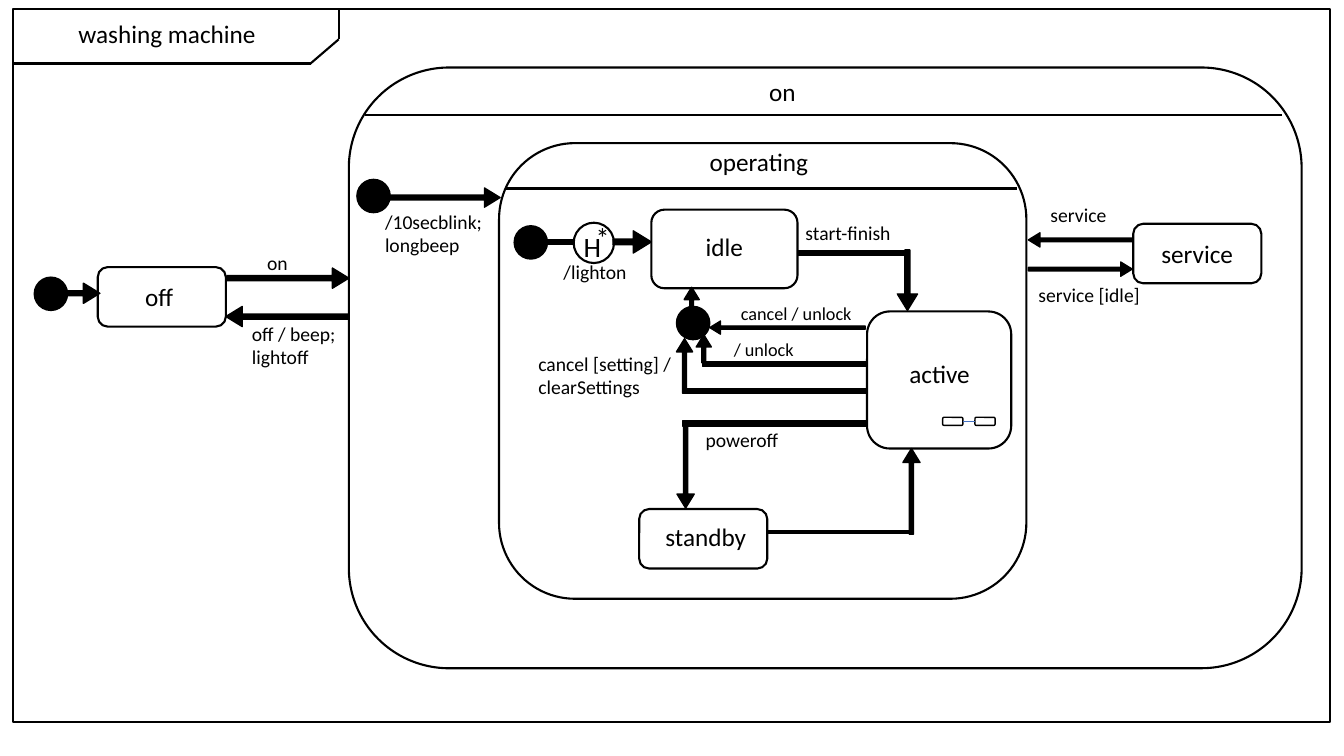
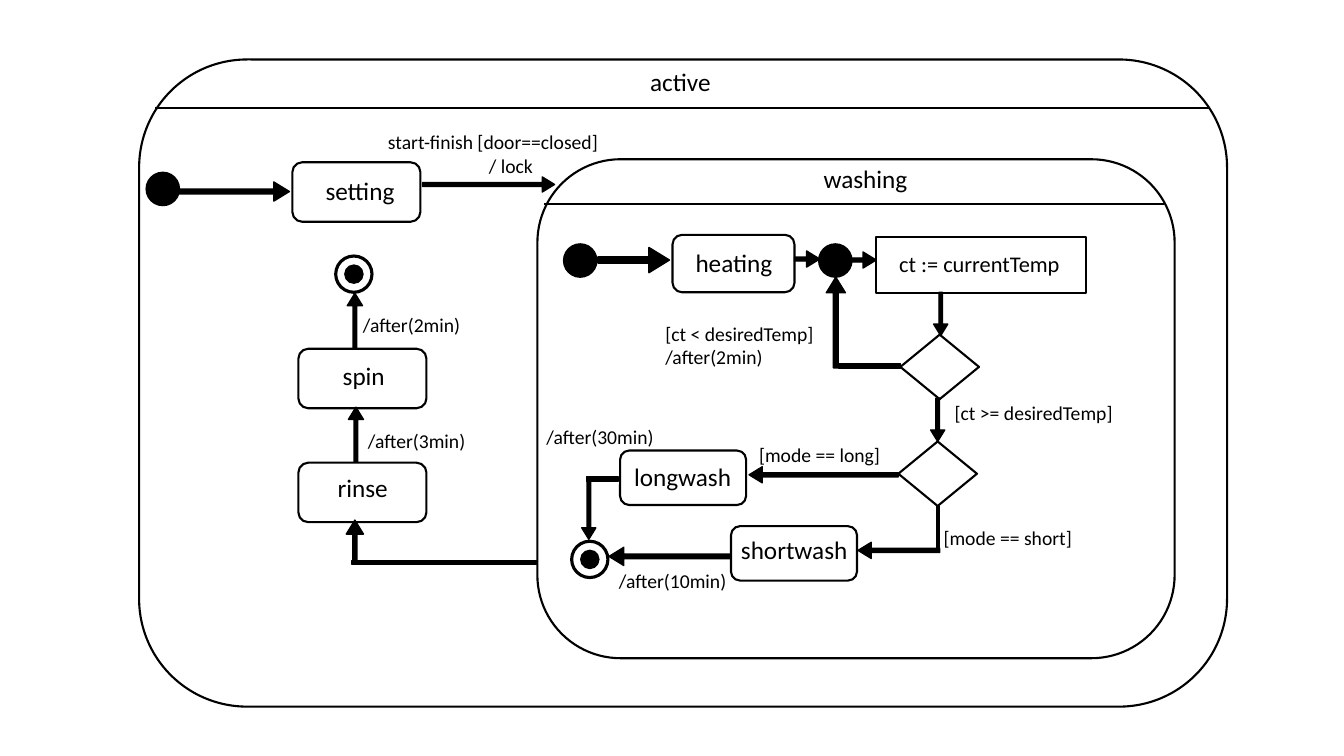
"""Build two state machine diagrams of a washing machine."""
import math
import pptx
import pptx.util
import pptx.dml.color
import pptx.enum.shapes
import pptx.enum.text
import pptx.oxml
from dataclasses import dataclass


@dataclass(frozen=True)
class Theme:
    ink: str = "000000"
    paper: str = "FFFFFF"
    accent: str = "4472C4"
    font: str = "Calibri"
    symbol: int = 20
    title: int = 18
    action: int = 16
    label: int = 14
    small: int = 13
    outline: float = 1.5
    ring: float = 2.25
    thin: float = 1
    hair: float = 0.5
    inset: float = 0.1
    dot: float = 0.33
    target: float = 0.36
    core: float = 0.18
    shaft: float = 0.249
    head: float = 0.813


THEME = Theme()
KIND = pptx.enum.shapes.MSO_SHAPE

# Boxes are left, top, width, height; links run from tail to tip, then thickness.
MACHINE = {
    "composites": [
        ("on", (3.46, 0.67, 9.45, 5.96), (7.53, 0.71, 1.15), (3.62, 1.14, 12.72, 1.14)),
        ("operating", (4.95, 1.42, 5.23, 4.52), (6.94, 1.4, 1.31), (5.02, 1.87, 10.09, 1.87)),
    ],
    "bars": [
        (5.43, 2.4, 5.69, 2.4, 0.05),
        (7.91, 2.51, 9.02, 2.51, 0.05),
        (6.8, 3.88, 8.61, 3.88, 0.05),
        (6.77, 4.2, 8.61, 4.2, 0.05),
        (7.61, 5.28, 9.02, 5.28, 0.03),
        (6.97, 3.61, 8.61, 3.61, 0.05),
    ],
    "arrows": [
        (10.2, 2.67, 11.23, 2.67, 0.14),
        (11.23, 2.38, 10.2, 2.38, 0.14),
        (3.81, 1.96, 4.96, 1.96, 0.19),
        (6.08, 2.4, 6.46, 2.4, 0.22),
        (0.67, 2.91, 0.99, 2.91, 0.2),
        (2.25, 2.76, 3.46, 2.76, 0.2),
        (3.45, 3.14, 2.24, 3.14, 0.2),
        (9, 2.48, 9, 3.08, 0.2),
        (8.58, 3.25, 7.04, 3.25, 0.13),
        (6.8, 4.19, 6.8, 5.04, 0.17),
        (6.86, 3.13, 6.86, 2.85, 0.15),
        (6.98, 3.6, 6.98, 3.32, 0.15),
        (6.79, 3.9, 6.79, 3.36, 0.16),
        (9.04, 5.3, 9.04, 4.45, 0.17),
    ],
    "states": [
        ("service", (11.24, 2.22, 1.27, 0.59), (11.42, 2.32, 1.15)),
        ("idle", (6.46, 2.08, 1.45, 0.78), (6.9, 2.25, 1.31)),
        ("off", (0.97, 2.65, 1.27, 0.59), (1.34, 2.74, 0.75)),
        ("standby", (6.34, 5.05, 1.27, 0.59), (6.5, 5.12, 1.15)),
        ("active", (8.6, 3.09, 1.43, 1.36), (8.92, 3.51, 1.15), THEME.paper),
    ],
    "dots": [(3.54, 1.78), (0.34, 2.75), (5.1, 2.24), (6.71, 3.04)],
    "targets": [],
    "outlines": [
        (KIND.OVAL, (5.69, 2.21, 0.4, 0.4)),
        (KIND.RECTANGLE, (0.13, 0.09, 13.06, 7.07)),
    ],
    "lines": [
        (3.08, 0.63, 3.36, 0.39),
        (0.13, 0.63, 3.08, 0.63),
        (3.36, 0.39, 3.36, 0.09),
    ],
    "notes": [
        (["washing machine"], 0.68, 0.13, 2.33, THEME.title),
        (["H"], 5.69, 2.23, 0.53, THEME.symbol),
        (["*"], 5.81, 2.14, 0.53, THEME.symbol),
        (["cancel / unlock"], 7.25, 2.95, 1.76, THEME.small),
        (["/ unlock"], 7.18, 3.31, 1.76, THEME.small),
        (["on"], 2.55, 2.44, 1.31),
        (["off / beep;", "lightoff"], 2.4, 3.14, 1.31),
        (["cancel [setting] / clearSettings"], 5.24, 3.44, 1.59, THEME.label, 2),
        (["start-finish"], 7.89, 2.14, 1.31),
        (["/lighton"], 5.49, 2.53, 1.31),
        (["poweroff"], 6.9, 4.2, 1.31),
        (["service [idle]"], 10.2, 2.76, 1.31),
        (["service "], 10.32, 1.96, 1.31),
        (["/10secblink;", "longbeep"], 3.72, 2.03, 1.65),
    ],
}
ACTIVE = {
    "composites": [
        ("active", (1.38, 0.59, 10.79, 6.42), (6.35, 0.61, 1.15), (1.54, 1.07, 12, 1.07)),
        ("washing", (5.33, 1.58, 6.32, 4.95), (8.07, 1.57, 1.31), (5.4, 2.02, 11.54, 2.02)),
    ],
    "bars": [
        (3.49, 5.58, 5.32, 5.58, 0.04),
        (8.32, 3.63, 8.93, 3.63, 0.05),
        (9.3, 5.02, 9.3, 5.44, 0.03),
        (6.13, 4.75, 5.82, 4.75, 0.05),
    ],
    "arrows": [
        (1.72, 1.9, 2.87, 1.9, 0.19),
        (4.19, 1.83, 5.5, 1.83, 0.15),
        (3.52, 3.45, 3.52, 2.91, 0.15),
        (3.53, 4.58, 3.53, 4.04, 0.15),
        (3.52, 5.56, 3.52, 5.16, 0.17),
        (5.93, 2.58, 6.64, 2.58, 0.25),
        (7.88, 2.57, 8.13, 2.57, 0.16),
        (9.33, 2.9, 9.33, 3.33, 0.14),
        (9.3, 3.95, 9.3, 4.38, 0.14),
        (8.91, 4.71, 7.43, 4.71, 0.16),
        (9.32, 5.46, 8.51, 5.46, 0.16),
        (5.84, 4.74, 5.84, 5.35, 0.14),
        (7.24, 5.52, 6.04, 5.52, 0.18),
        (8.45, 2.58, 8.69, 2.58, 0.16),
        (8.29, 3.65, 8.29, 2.75, 0.19),
    ],
    "states": [
        ("setting", (2.9, 1.61, 1.27, 0.59), (3.13, 1.69, 1.15)),
        ("heating", (6.67, 2.33, 1.21, 0.57), (6.8, 2.4, 1.31)),
        ("spin", (2.96, 3.46, 1.27, 0.59), (3.3, 3.53, 1.15)),
        ("rinse", (2.96, 4.59, 1.27, 0.59), (3.25, 4.64, 1.15)),
        ("shortwash", (7.25, 5.22, 1.25, 0.54), (7.25, 5.25, 1.31)),
        ("longwash", (6.15, 4.47, 1.25, 0.54), (6.19, 4.53, 1.31)),
    ],
    "dots": [(1.45, 1.71), (5.59, 2.42), (8.12, 2.42)],
    "targets": [(3.33, 2.54), (5.67, 5.37)],
    "outlines": [
        (KIND.RECTANGLE, (8.69, 2.35, 2.08, 0.56)),
        (KIND.DIAMOND, (8.93, 3.32, 0.78, 0.64)),
        (KIND.DIAMOND, (8.91, 4.38, 0.78, 0.64)),
    ],
    "lines": [],
    "notes": [
        (["ct := currentTemp"], 8.82, 2.43, 1.87, THEME.action),
        (["start-finish [door==closed] ", "\t/ lock"], 3.75, 1.24, 2.34),
        (["/after(3min) "], 3.55, 4.21, 1.31),
        (["/after(2min) "], 3.5, 3.05, 1.31),
        (["[ct < desiredTemp]", "/after(2min)"], 6.5, 3.14, 1.73),
        (["[ct >= desiredTemp]"], 9.37, 3.93, 1.85),
        (["[mode == short]"], 9.26, 5.17, 1.73),
        (["[mode == long]"], 7.43, 4.34, 1.73),
        (["/after(10min) "], 6.04, 5.59, 1.31),
        (["/after(30min) "], 5.32, 4.17, 1.31),
    ],
}
SUBMACHINE = {
    "boxes": [(9.35, 4.14, 0.2, 0.08), (9.67, 4.14, 0.2, 0.08)],
    "line": (9.55, 4.18, 9.67, 4.18),
}


def inches(values):
    return [pptx.util.Inches(value) for value in values]


def color(code):
    return pptx.dml.color.RGBColor.from_string(code)


def draw_shape(shapes, kind, box, fill=None, weight=THEME.outline):
    shape = shapes.add_shape(kind, *inches(box))
    shape.shadow.inherit = False
    if fill:
        shape.fill.solid()
        shape.fill.fore_color.rgb = color(fill)
    else:
        shape.fill.background()
    shape.line.color.rgb = color(THEME.ink)
    shape.line.width = pptx.util.Pt(weight)
    return shape


def draw_line(shapes, ends, ink=THEME.ink, weight=THEME.outline):
    line = shapes.add_connector(pptx.enum.shapes.MSO_CONNECTOR.STRAIGHT, *inches(ends))
    line.line.color.rgb = color(ink)
    line.line.width = pptx.util.Pt(weight)
    properties = line._element.spPr
    properties.append(properties.makeelement(pptx.oxml.ns.qn("a:effectLst"), {}))


def draw_link(shapes, kind, tail_x, tail_y, tip_x, tip_y, thickness):
    across, down = tip_x - tail_x, tip_y - tail_y
    length = math.hypot(across, down)
    left = (tail_x + tip_x - length) / 2
    top = (tail_y + tip_y - thickness) / 2
    link = draw_shape(shapes, kind, (left, top, length, thickness), THEME.ink, THEME.thin)
    link.rotation = math.degrees(math.atan2(down, across))
    return link


def draw_arrow(shapes, *course):
    arrow = draw_link(shapes, KIND.RIGHT_ARROW, *course)
    arrow.adjustments[0] = THEME.shaft
    arrow.adjustments[1] = THEME.head


def draw_note(shapes, lines, left, top, width, size=THEME.label, rows=None):
    height = (rows or len(lines)) * size * 1.2 / 72 + THEME.inset
    box = shapes.add_textbox(*inches((left, top, width, height)))
    frame = box.text_frame
    frame.word_wrap = True
    frame.auto_size = pptx.enum.text.MSO_AUTO_SIZE.SHAPE_TO_FIT_TEXT
    for index, text in enumerate(lines):
        para = frame.add_paragraph() if index else frame.paragraphs[0]
        if text.startswith("\t"):
            para._p.get_or_add_pPr().set("marL", str(pptx.util.Inches(1)))
        span = para.add_run()
        span.text = text.strip("\t")
        span.font.name = THEME.font
        span.font.size = pptx.util.Pt(size)
        span.font.color.rgb = color(THEME.ink)


def draw_state(shapes, name, box, place, fill=None):
    draw_shape(shapes, KIND.ROUNDED_RECTANGLE, box, fill)
    draw_note(shapes, [name], *place, THEME.title)


def draw_diagram(shapes, diagram):
    for name, box, place, divider in diagram["composites"]:
        draw_state(shapes, name, box, place)
        draw_line(shapes, divider)
    for course in diagram["bars"]:
        draw_link(shapes, KIND.RECTANGLE, *course)
    for state in diagram["states"]:
        draw_state(shapes, *state)
    for course in diagram["arrows"]:
        draw_arrow(shapes, *course)
    for corner in diagram["dots"]:
        draw_shape(shapes, KIND.OVAL, (*corner, THEME.dot, THEME.dot), THEME.ink, THEME.thin)
    margin = (THEME.target - THEME.core) / 2
    for left, top in diagram["targets"]:
        ring = (left, top, THEME.target, THEME.target)
        core = (left + margin, top + margin, THEME.core, THEME.core)
        draw_shape(shapes, KIND.OVAL, ring, weight=THEME.ring)
        draw_shape(shapes, KIND.OVAL, core, THEME.ink, THEME.thin)
    for kind, box in diagram["outlines"]:
        draw_shape(shapes, kind, box)
    for ends in diagram["lines"]:
        draw_line(shapes, ends)
    for note in diagram["notes"]:
        draw_note(shapes, *note)


def draw_submachine(shapes):
    icon = shapes.add_group_shape().shapes
    for box in SUBMACHINE["boxes"]:
        draw_shape(icon, KIND.ROUNDED_RECTANGLE, box, weight=THEME.thin)
    draw_line(icon, SUBMACHINE["line"], THEME.accent, THEME.hair)


deck = pptx.Presentation()
deck.slide_width, deck.slide_height = inches((13.33, 7.5))
pages = []
for diagram in (MACHINE, ACTIVE):
    page = deck.slides.add_slide(deck.slide_layouts[6])
    draw_diagram(page.shapes, diagram)
    pages.append(page)
draw_submachine(pages[0].shapes)
deck.save("out.pptx")
